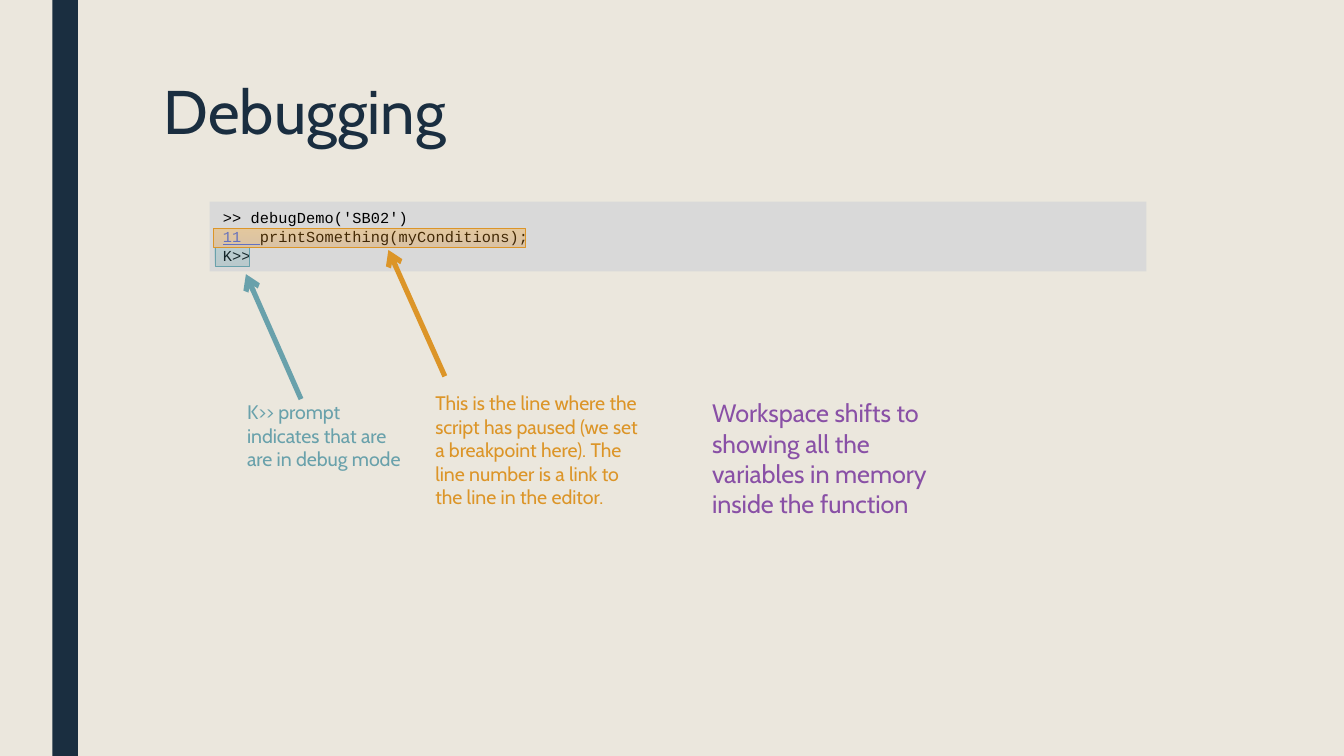
from lxml import etree
from pptx import Presentation
from pptx.dml.color import RGBColor
from pptx.enum.shapes import MSO_CONNECTOR, MSO_SHAPE
from pptx.enum.text import MSO_ANCHOR, PP_ALIGN
from pptx.oxml.ns import qn
from pptx.util import Inches, Pt

RECTANGLE = MSO_SHAPE.RECTANGLE
STRAIGHT = MSO_CONNECTOR.STRAIGHT
TOP = MSO_ANCHOR.TOP
LEFT = PP_ALIGN.LEFT

SLIDE_WIDTH = 10
SLIDE_HEIGHT = SLIDE_WIDTH * 9 / 16

CREAM, NAVY, GREY, BLACK = "EBE7DD", "1A2E40", "D9D9D9", "000000"
TEAL, ORANGE, PURPLE, LINK = "69A1AB", "DC9528", "8950A6", "3366FF"
BODY_FONT, CODE_FONT = "Cabin", "Courier New"

TITLE = "Debugging"
# Each line is a list of (text, colour, underlined)
CODE_LINES = [
    [(">> debugDemo('SB02')", BLACK, False)],
    [("11  ", LINK, True), ("printSomething(myConditions);", BLACK, False)],
    [("K>>", BLACK, False)],
]
# box, line colour, gradient colours, opacity in percent
HIGHLIGHTS = [
    ((1.6, 1.84, 0.26, 0.14), TEAL, ("5A98A3", "58ACBB"), 24),
    ((1.59, 1.7, 2.32, 0.14), ORANGE, ("DD8923", "FF9C05"), 27),
]
ARROWS = [
    ((2.24, 2.97), (1.83, 2.04), TEAL),
    ((3.31, 2.8), (2.89, 1.86), ORANGE),
]
NOTES = [
    ((1.74, 2.93, 1.34, 0.63), 10.5, TEAL,
     "K>> prompt indicates that are are in debug mode"),
    ((3.14, 2.86, 1.75, 0.98), 10.5, ORANGE,
     "This is the line where the script has paused (we set a breakpoint here). "
     "The line number is a link to the line in the editor."),
    ((5.2, 2.91, 2.06, 1.01), 13.5, PURPLE,
     "Workspace shifts to showing all the variables in memory inside the function"),
]


def rgb(color):
    return RGBColor.from_string(color)


def inches(values):
    return [Inches(value) for value in values]


def style(paragraph, font_name, size, color):
    paragraph.alignment = LEFT
    paragraph.font.name = font_name
    paragraph.font.size = Pt(size)
    paragraph.font.color.rgb = rgb(color)


def add_rectangle(slide, box, color):
    shape = slide.shapes.add_shape(RECTANGLE, *inches(box))
    shape.shadow.inherit = False
    shape.fill.solid()
    shape.fill.fore_color.rgb = rgb(color)
    shape.line.fill.background()
    return shape


def add_code(slide, box, lines):
    frame = add_rectangle(slide, box, GREY).text_frame
    frame.word_wrap = True
    frame.vertical_anchor = TOP
    for index, line in enumerate(lines):
        paragraph = frame.add_paragraph() if index else frame.paragraphs[0]
        style(paragraph, CODE_FONT, 8.25, BLACK)
        paragraph.line_spacing = Pt(10)
        for text, color, underlined in line:
            run = paragraph.add_run()
            run.text = text
            run.font.color.rgb = rgb(color)
            run.font.underline = underlined


def add_highlight(slide, box, line_color, gradient, opacity):
    shape = add_rectangle(slide, box, line_color)
    shape.line.color.rgb = rgb(line_color)
    shape.line.width = Pt(0.5)
    shape.fill.gradient()
    shape.fill.gradient_angle = 90
    for stop, color in zip(shape.fill.gradient_stops, gradient):
        stop.color.rgb = rgb(color)
    for color_element in shape.element.spPr.find(qn("a:gradFill")).iter(qn("a:srgbClr")):
        etree.SubElement(color_element, qn("a:alpha"), val=str(opacity * 1000))


def add_arrow(slide, start, end, color):
    arrow = slide.shapes.add_connector(STRAIGHT, *inches(start + end))
    arrow.line.color.rgb = rgb(color)
    arrow.line.width = Pt(2.75)
    line_element = arrow.element.spPr.find(qn("a:ln"))
    etree.SubElement(line_element, qn("a:tailEnd"), type="arrow")
    etree.SubElement(arrow.element.spPr, qn("a:effectLst"))


def add_note(slide, box, size, color, text):
    frame = slide.shapes.add_textbox(*inches(box)).text_frame
    frame.word_wrap = True
    frame.text = text
    style(frame.paragraphs[0], BODY_FONT, size, color)


def main():
    presentation = Presentation()
    presentation.slide_width = Inches(SLIDE_WIDTH)
    presentation.slide_height = Inches(SLIDE_HEIGHT)
    slide = presentation.slides.add_slide(presentation.slide_layouts[5])
    slide.background.fill.solid()
    slide.background.fill.fore_color.rgb = rgb(CREAM)

    title = slide.shapes.title
    title.left, title.top, title.width, title.height = inches((1.12, 0.56, 7.88, 1.22))
    title.text_frame.text = TITLE
    title.text_frame.vertical_anchor = TOP
    heading = title.text_frame.paragraphs[0]
    style(heading, BODY_FONT, 33, NAVY)
    heading.line_spacing = 0.89

    add_rectangle(slide, (0.39, 0, 0.19, SLIDE_HEIGHT), NAVY)
    add_code(slide, (1.56, 1.5, 6.97, 0.52), CODE_LINES)
    for highlight in HIGHLIGHTS:
        add_highlight(slide, *highlight)
    for arrow in ARROWS:
        add_arrow(slide, *arrow)
    for note in NOTES:
        add_note(slide, *note)

    presentation.save("out.pptx")


if __name__ == "__main__":
    main()
